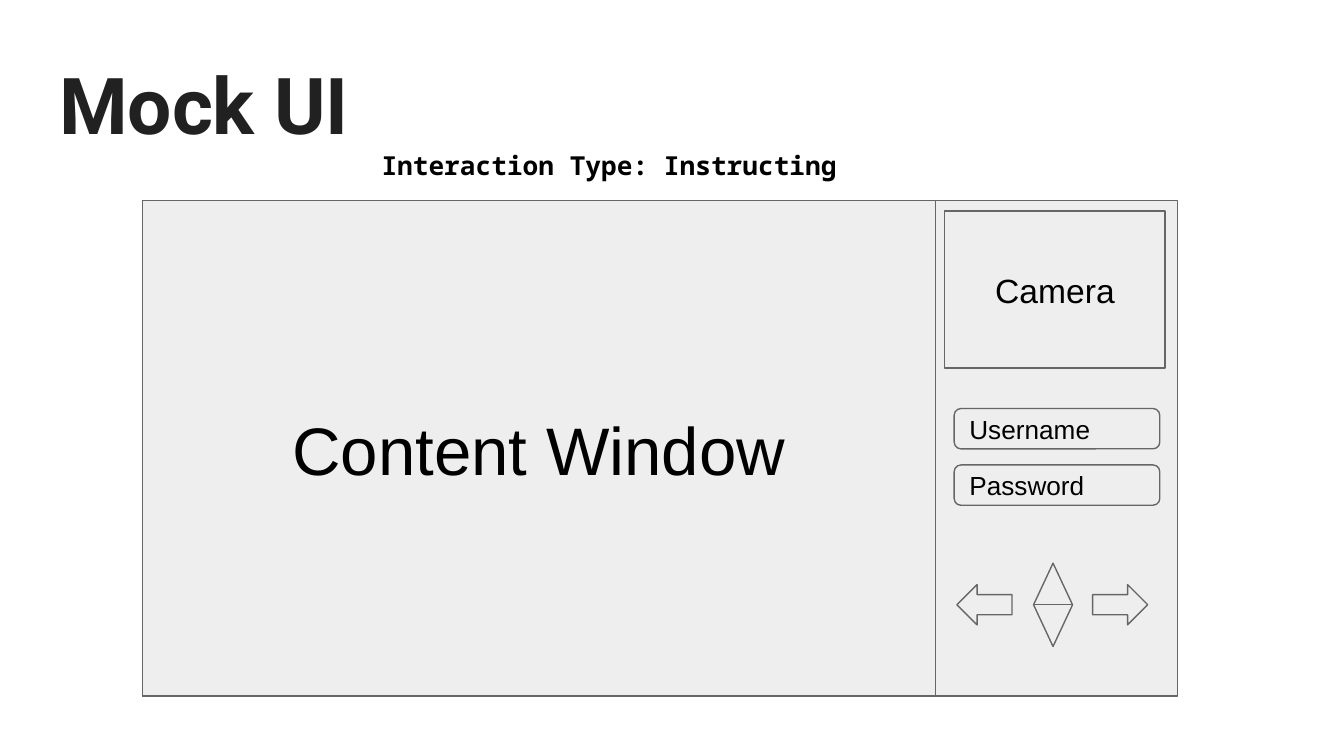
from pptx import Presentation
from pptx.dml.color import RGBColor
from pptx.enum.shapes import MSO_SHAPE
from pptx.enum.text import MSO_ANCHOR, MSO_AUTO_SIZE, PP_ALIGN
from pptx.util import Inches, Pt

PANEL = "EEEEEE"
OUTLINE = "666666"
BLACK = "000000"
TITLE_COLOR = "212121"


def color(value):
    return RGBColor.from_string(value)


def write_text(shape, text, size, font="Arial", text_color=BLACK, bold=False,
               align=PP_ALIGN.LEFT, anchor=MSO_ANCHOR.TOP):
    frame = shape.text_frame
    frame_format = {"word_wrap": True, "auto_size": MSO_AUTO_SIZE.NONE,
                    "vertical_anchor": anchor}
    for side in ("left", "top", "right", "bottom"):
        frame_format[f"margin_{side}"] = Inches(0.1)
    for name, value in frame_format.items():
        setattr(frame, name, value)

    paragraph = frame.paragraphs[0]
    paragraph.alignment = align
    run = paragraph.add_run()
    run.text = text
    for name, value in {"name": font, "size": Pt(size), "bold": bold}.items():
        setattr(run.font, name, value)
    run.font.color.rgb = color(text_color)


def add_title(slide, text):
    title = slide.shapes.title
    place = {"left": 0.34, "top": 0.32, "width": 9.32, "height": 0.88}
    for name, value in place.items():
        setattr(title, name, Inches(value))
    write_text(title, text, 42, "Roboto", TITLE_COLOR, bold=True)


def add_caption(slide, text):
    caption = slide.shapes.add_textbox(
        Inches(2.74), Inches(1.01), Inches(3.71), Inches(0.48))
    write_text(caption, text, 14, "Noto Sans Mono", bold=True)


def add_element(slide, kind, left, top, width, height):
    """Add one outlined grey part of the interface."""
    shape = slide.shapes.add_shape(
        kind, Inches(left), Inches(top), Inches(width), Inches(height))
    shape.shadow.inherit = False
    shape.fill.solid()
    shape.fill.fore_color.rgb = color(PANEL)
    shape.line.color.rgb = color(OUTLINE)
    shape.line.width = Pt(0.75)
    return shape


def add_window(slide, left, top, width, height, text, size):
    window = add_element(slide, MSO_SHAPE.RECTANGLE, left, top, width, height)
    write_text(window, text, size, align=PP_ALIGN.CENTER,
               anchor=MSO_ANCHOR.MIDDLE)


def add_field(slide, top, text):
    field = add_element(slide, MSO_SHAPE.ROUNDED_RECTANGLE, 7.1, top, 1.53, 0.3)
    write_text(field, text, 14, anchor=MSO_ANCHOR.MIDDLE)


def main():
    # Widescreen page, 16:9
    presentation = Presentation()
    presentation.slide_width = Inches(10)
    presentation.slide_height = Inches(10) * 9 // 16
    slide = presentation.slides.add_slide(presentation.slide_layouts[5])

    add_title(slide, "Mock UI")

    # Application frame with its two main windows
    add_element(slide, MSO_SHAPE.RECTANGLE, 1.06, 1.49, 7.7, 3.69)
    add_window(slide, 1.06, 1.49, 5.9, 3.69, "Content Window", 36)
    add_window(slide, 7.03, 1.57, 1.64, 1.17, "Camera", 18)

    # Login fields
    for index, label in enumerate(("Username", "Password")):
        add_field(slide, 3.04 + index * 0.42, label)

    # Navigation controls
    add_element(slide, MSO_SHAPE.LEFT_ARROW, 7.12, 4.35, 0.41, 0.3)
    add_element(slide, MSO_SHAPE.FLOWCHART_SORT, 7.69, 4.19, 0.29, 0.62)
    add_element(slide, MSO_SHAPE.RIGHT_ARROW, 8.13, 4.35, 0.41, 0.3)

    add_caption(slide, "Interaction Type: Instructing")
    presentation.save("out.pptx")


if __name__ == "__main__":
    main()
